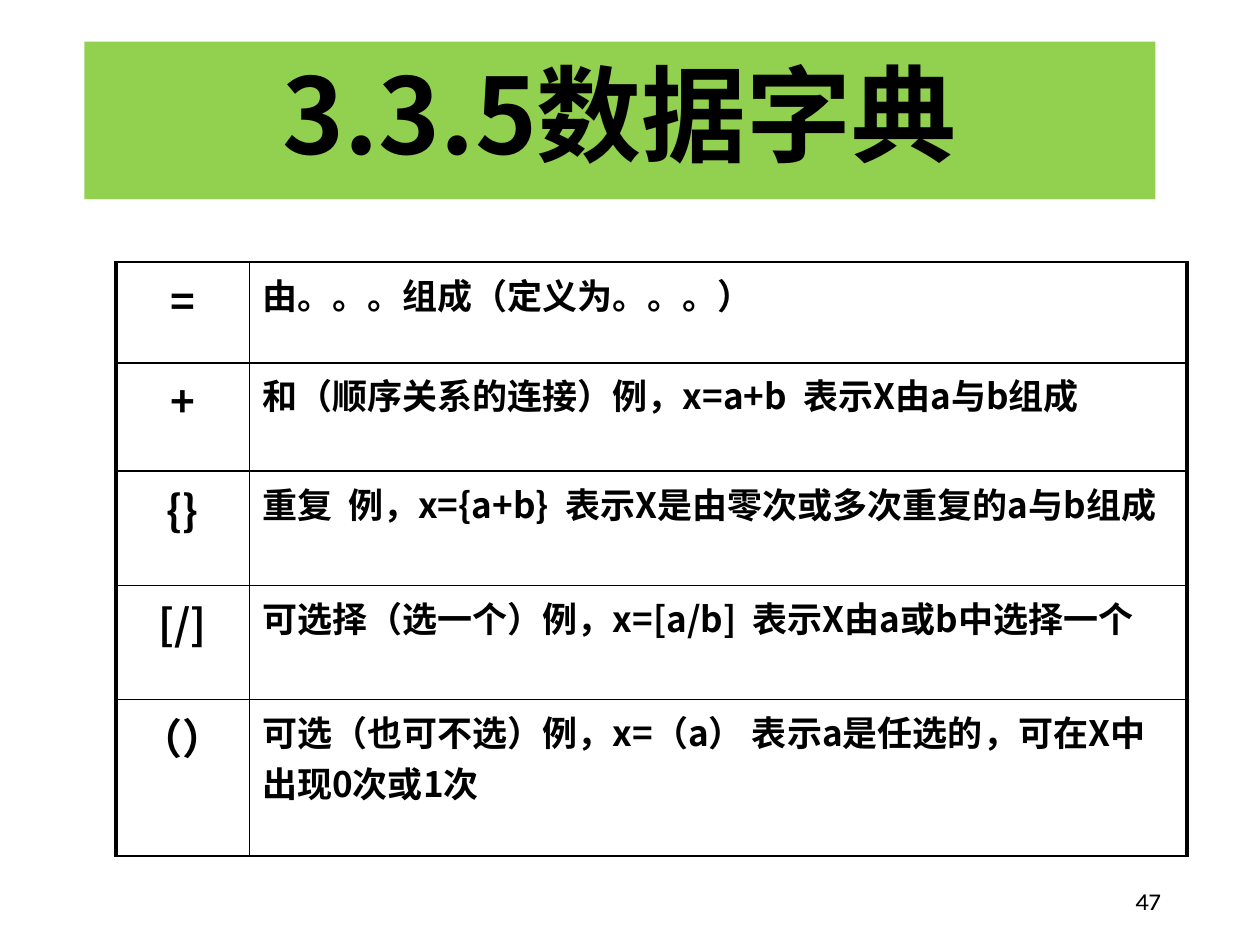
from lxml import etree
from pptx import Presentation
from pptx.dml.color import RGBColor
from pptx.enum.shapes import MSO_SHAPE
from pptx.enum.text import MSO_ANCHOR, PP_ALIGN
from pptx.oxml.ns import qn
from pptx.util import Inches, Pt

RECT = MSO_SHAPE.RECTANGLE
MIDDLE = MSO_ANCHOR.MIDDLE
LEFT, CENTER, RIGHT = PP_ALIGN.LEFT, PP_ALIGN.CENTER, PP_ALIGN.RIGHT
COLORS = {"ink": "000000", "band": "92D050"}
CJK, LATIN = "Noto Sans CJK SC", "Karla"

COLS = [1.06, 7.44]
ROWS = [0.8, 0.86, 0.8, 0.8, 1.24]
TERMS = [
    ("=", "由。。。组成（定义为。。。）"),
    ("+", "和（顺序关系的连接）例，x=a+b  表示X由a与b组成"),
    ("{}", "重复  例，x={a+b}  表示X是由零次或多次重复的a与b组成"),
    ("[/]", "可选择（选一个）例，x=[a/b]  表示X由a或b中选择一个"),
    ("（）", "可选（也可不选）例，x=（a） 表示a是任选的，可在X中出现0次或1次"),
]


def write(frame, text, size, align, face=CJK, bold=True):
    frame.text = text
    frame.word_wrap = True
    para = frame.paragraphs[0]
    para.alignment = align
    for run in para.runs:
        font = run.font
        font.size, font.bold, font.name = Pt(size), bold, face
        font.color.rgb = RGBColor.from_string(COLORS["ink"])
        etree.SubElement(font._element, qn("a:ea"), typeface=face)
    return para


def edge(cell, widths):
    """Draw the cell's borders; widths are points by side, L R T B."""
    props = cell._tc.get_or_add_tcPr()
    for spot, (side, width) in enumerate(widths.items()):
        line = etree.Element(qn(f"a:ln{side}"), w=str(Pt(width)))
        fill = etree.SubElement(line, qn("a:solidFill"))
        etree.SubElement(fill, qn("a:srgbClr"), val=COLORS["ink"])
        props.insert(spot, line)


deck = Presentation()
deck.slide_width, deck.slide_height = Inches(10), Inches(7.5)
slide = deck.slides.add_slide(deck.slide_layouts[6])

# Title band
title = slide.shapes.add_shape(RECT, Inches(0.67), Inches(0.33), Inches(8.5), Inches(1.25))
title.shadow.inherit = False
title.fill.solid()
title.fill.fore_color.rgb = RGBColor.from_string(COLORS["band"])
title.line.fill.background()
title.text_frame.vertical_anchor = MIDDLE
write(title.text_frame, "3.3.5数据字典", 60, CENTER).line_spacing = 0.9

# Symbols and their meanings
table = slide.shapes.add_table(
    len(ROWS), len(COLS), Inches(0.92), Inches(2.08), Inches(sum(COLS)), Inches(sum(ROWS))
).table
table.first_row = table.horz_banding = False
for col, width in zip(table.columns, COLS):
    col.width = Inches(width)
for row, height, term in zip(table.rows, ROWS, TERMS):
    row.height = Inches(height)
    for cell, text, size, align, left, right in zip(
        row.cells, term, (24, 20), (CENTER, LEFT), (2.25, 1), (1, 2.25)
    ):
        cell.fill.background()
        write(cell.text_frame, text, size, align).space_before = Pt(size * 0.2)
        edge(cell, {"L": left, "R": right, "T": 1, "B": 1})

# Page number
page = slide.shapes.add_textbox(Inches(7.06), Inches(6.95), Inches(2.25), Inches(0.4))
page.text_frame.vertical_anchor = MIDDLE
write(page.text_frame, "47", 14, RIGHT, LATIN, False)

deck.save("out.pptx")
